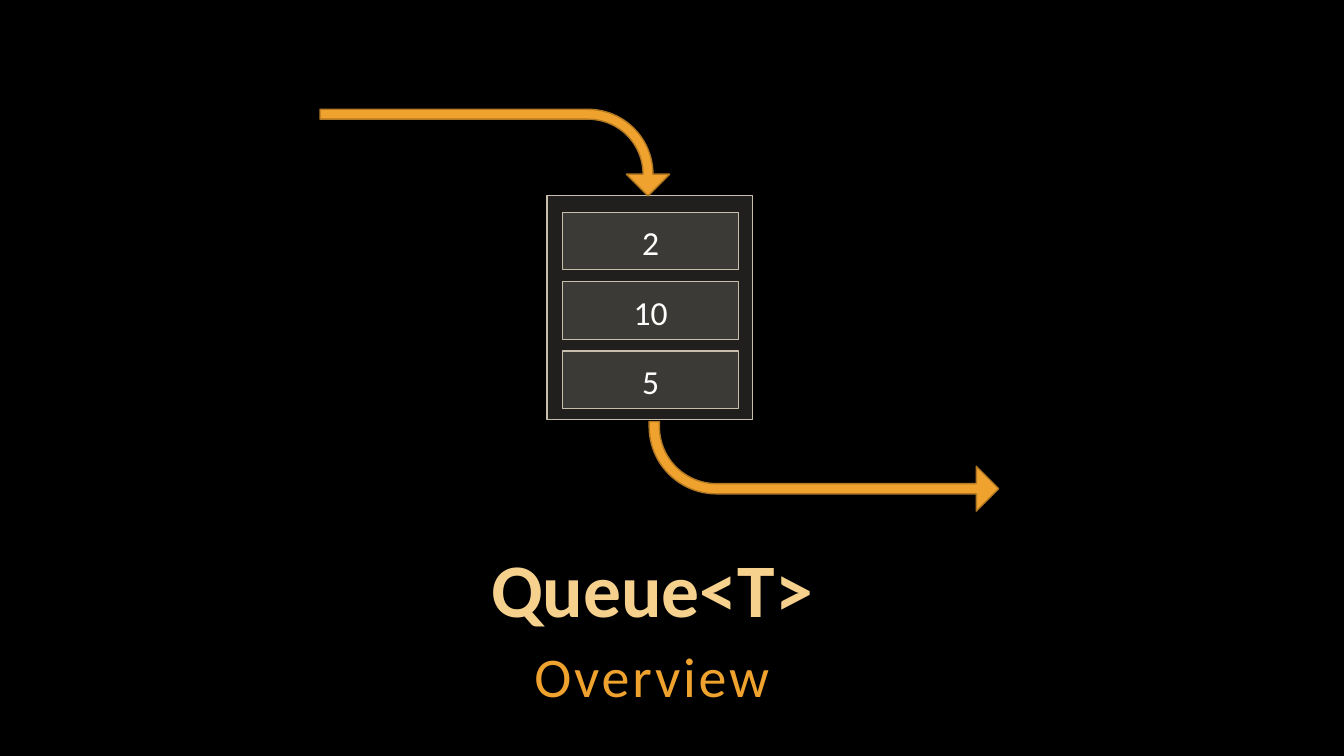
import pptx
import pptx.util
import pptx.dml.color
import pptx.enum.shapes
import pptx.enum.text
from lxml import etree

Cm, Pt = pptx.util.Cm, pptx.util.Pt
SHAPE = pptx.enum.shapes.MSO_SHAPE
ANCHOR = pptx.enum.text.MSO_ANCHOR
FONT = "Calibri"
COLORS = {
    "background": "000000",
    "title": "F6D18E",
    "accent": "F0A22E",
    "arrow_line": "B27822",
    "box": "D9D5C7",
    "box_line": "C7BFAC",
    "text": "FFFFFF",
}


def rgb(name):
    return pptx.dml.color.RGBColor.from_string(COLORS[name])


def write(sp, text, size, color, inset_x, inset_y, anchor=ANCHOR.TOP, bold=False):
    """Put one centred paragraph in a shape and return it."""
    tf = sp.text_frame
    tf.word_wrap = True
    tf.auto_size = pptx.enum.text.MSO_AUTO_SIZE.NONE
    tf.vertical_anchor = anchor
    tf.margin_left = tf.margin_right = Cm(inset_x)
    tf.margin_top = tf.margin_bottom = Cm(inset_y)
    p = tf.paragraphs[0]
    p.text = text
    p.alignment = pptx.enum.text.PP_ALIGN.CENTER
    p.space_before = Pt(0)
    p.font.name = FONT
    p.font.size = Pt(size)
    p.font.bold = bold
    p.font.color.rgb = rgb(color)
    return p


def fill_placeholder(sp, top, height, text, size, color, **options):
    sp.left, sp.top, sp.width, sp.height = Cm(4.01), Cm(top), Cm(24.84), Cm(height)
    return write(sp, text, size, color, 0.1, 0.1, **options)


def add_filled(s, kind, left, top, width, height, fill, line):
    sp = s.shapes.add_shape(kind, Cm(left), Cm(top), Cm(width), Cm(height))
    sp.shadow.inherit = False
    sp.fill.solid()
    sp.fill.fore_color.rgb = rgb(fill)
    sp.line.color.rgb = rgb(line)
    sp.line.width = Pt(1)
    return sp


def add_box(s, left, top, width, height):
    """Outlined rectangle with a fill of 15 % opacity."""
    sp = add_filled(s, SHAPE.RECTANGLE, left, top, width, height, "box", "box_line")
    color = sp.fill._xPr.find(".//" + pptx.oxml.ns.qn("a:srgbClr"))
    etree.SubElement(color, pptx.oxml.ns.qn("a:alpha"), val="15000")
    return sp


def add_bent_arrow(s, left, top, width, height, rotation, flip=False):
    sp = add_filled(s, SHAPE.BENT_ARROW, left, top, width, height, "accent", "arrow_line")
    for i, value in enumerate((0.114, 0.25, 0.25, 0.75)):
        sp.adjustments[i] = value
    sp.rotation = rotation
    if flip:
        sp._element.spPr.xfrm.set("flipH", "1")


def main():
    prs = pptx.Presentation()
    prs.slide_width, prs.slide_height = Cm(33.87), Cm(19.05)
    s = prs.slides.add_slide(prs.slide_layouts[2])
    s.background.fill.solid()
    s.background.fill.fore_color.rgb = rgb("background")

    # Title and subtitle
    p = fill_placeholder(s.shapes.title, 13.77, 2.29, "Queue<T>", 54, "title",
                         anchor=ANCHOR.BOTTOM, bold=True)
    p.line_spacing = 0.9
    p.font._element.set("cap", "none")
    p = fill_placeholder(s.placeholders[1], 15.98, 1.9, "Overview", 40, "accent")
    p.line_spacing = 1.05
    p.space_after = Pt(6)
    p.font._element.set("spc", "200")

    # Queue with its items
    add_box(s, 13.79, 4.93, 5.18, 5.64)
    for i, item in enumerate(("2", "10", "5")):
        cell = add_box(s, 14.17, 5.35 + 1.75 * i, 4.45, 1.45)
        write(cell, item, 24, "text", 0.5, 0.25)

    # Arrows into and out of the queue
    add_bent_arrow(s, 11.38, -0.56, 2.18, 8.81, 90)
    add_bent_arrow(s, 16.36, 10.62, 8.81, 2.26, 180, flip=True)

    prs.save("out.pptx")


if __name__ == "__main__":
    main()
